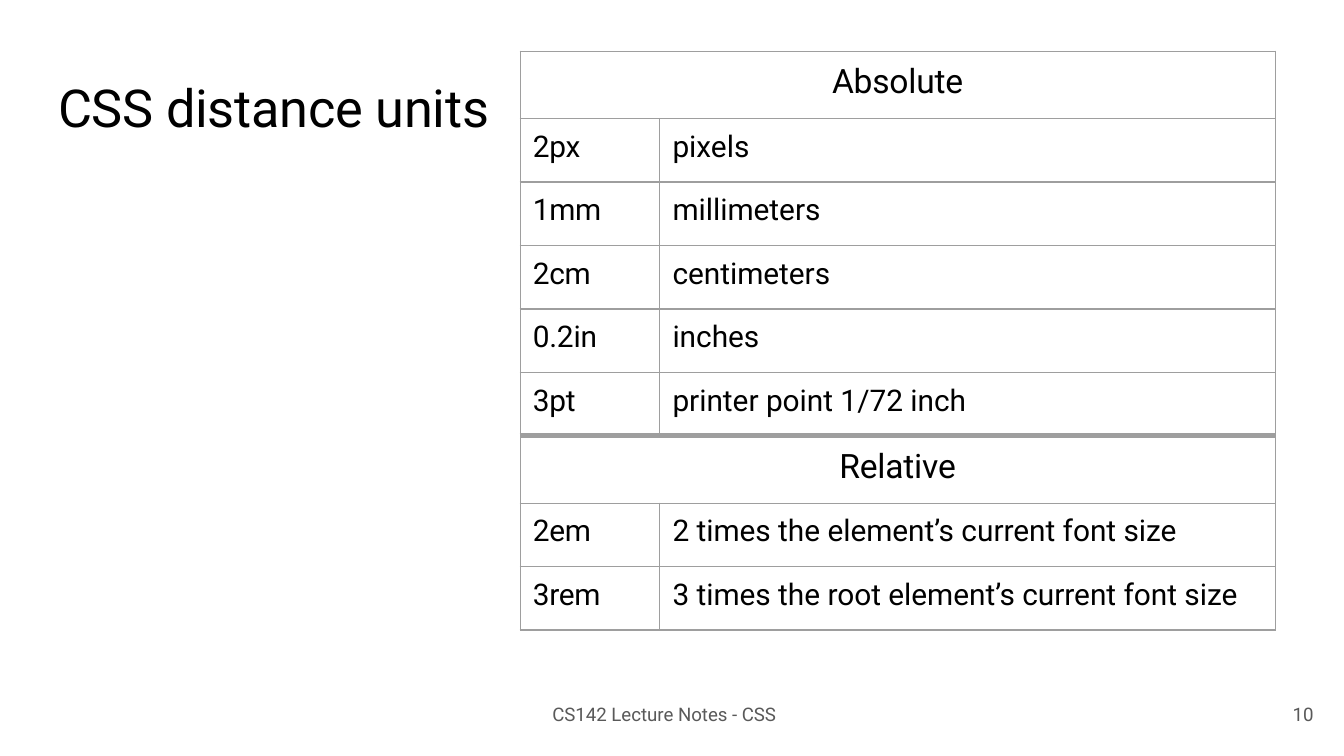
import dataclasses

import lxml.etree
import pptx
import pptx.dml.color
import pptx.enum.text
import pptx.oxml.ns
import pptx.util

Cm = pptx.util.Cm
Pt = pptx.util.Pt
Align = pptx.enum.text.PP_ALIGN


@dataclasses.dataclass(frozen=True)
class Theme:
    """Colours, font and type sizes of the slide."""
    font: str = "Roboto"
    ink: str = "000000"
    muted: str = "595959"
    rule: str = "9E9E9E"
    title_size: float = 28
    heading_size: float = 18
    body_size: float = 16
    footer_size: float = 10
    thin: float = 0.75
    thick: float = 3


@dataclasses.dataclass(frozen=True)
class Section:
    """A heading and its rows of example and meaning."""
    heading: str
    units: tuple[tuple[str, str], ...]


@dataclasses.dataclass(frozen=True)
class Label:
    """A line of text at the foot of the page, in centimetres."""
    text: str
    left: float
    width: float


THEME = Theme()
SECTIONS = (
    Section("Absolute", (
        ("2px", "pixels"),
        ("1mm", "millimeters"),
        ("2cm", "centimeters"),
        ("0.2in", "inches"),
        ("3pt", "printer point 1/72 inch"),
    )),
    Section("Relative", (
        ("2em", "2 times the element’s current font size"),
        ("3rem", "3 times the root element’s current font size"),
    )),
)
FOOTERS = (
    Label("CS142 Lecture Notes - CSS", 10.41, 4.47),
    Label("10", 24.33, 0.61),
)
COLUMN_WIDTHS = (2.64, 11.63)
HEADING_HEIGHT, UNIT_HEIGHT = 1.27, 1.2


def write_text(frame, text: str, *, size: float, color: str = THEME.ink,
               align=Align.LEFT, indent: float = 0, before: float = 0,
               tracking: int = 0) -> None:
    """Write one formatted paragraph; tracking is in hundredths of a point."""
    frame.word_wrap = True
    para = frame.paragraphs[0]
    para.alignment = align
    para.space_before = Pt(before)
    properties = para._p.get_or_add_pPr()
    properties.set("marL", str(Cm(indent)))
    properties.set("indent", "0")
    span = para.add_run()
    span.text = text
    span.font.name = THEME.font
    span.font.size = Pt(size)
    span.font.color.rgb = pptx.dml.color.RGBColor.from_string(color)
    span._r.get_or_add_rPr().set("spc", str(tracking))


def set_margins(holder, top: float = 0) -> None:
    """Clear the margins of a cell or text frame, except the top one."""
    holder.margin_left = holder.margin_right = holder.margin_bottom = 0
    holder.margin_top = Cm(top)


def set_borders(cell, *, top: float, bottom: float) -> None:
    """Draw the four borders of a cell, with widths in points."""
    properties = cell._tc.get_or_add_tcPr()
    qn = pptx.oxml.ns.qn
    widths = {"L": THEME.thin, "R": THEME.thin, "T": top, "B": bottom}
    for side, width in widths.items():
        line = lxml.etree.SubElement(properties, qn(f"a:ln{side}"), w=str(Pt(width)))
        fill = lxml.etree.SubElement(line, qn("a:solidFill"))
        lxml.etree.SubElement(fill, qn("a:srgbClr"), val=THEME.rule)


def add_title(page, text: str) -> None:
    """Place and format the title."""
    box = page.shapes.title
    box.left, box.top, box.width, box.height = Cm(1.07), Cm(1.4), Cm(8.41), Cm(1.24)
    frame = box.text_frame
    set_margins(frame, top=0.03)
    frame.vertical_anchor = pptx.enum.text.MSO_ANCHOR.TOP
    write_text(frame, text, size=THEME.title_size, indent=0.03, before=1, tracking=-10)


def add_unit_table(page) -> None:
    """Add the table of units, with a thick rule between sections."""
    row_count = sum(1 + len(section.units) for section in SECTIONS)
    height = (len(SECTIONS) * HEADING_HEIGHT
              + (row_count - len(SECTIONS)) * UNIT_HEIGHT)
    table = page.shapes.add_table(
        row_count, len(COLUMN_WIDTHS), Cm(9.83), Cm(0.97),
        Cm(sum(COLUMN_WIDTHS)), Cm(height)).table
    table.first_row = table.horz_banding = False
    for column, width in zip(table.columns, COLUMN_WIDTHS):
        column.width = Cm(width)

    index = 0
    for section in SECTIONS:
        last_section = section is SECTIONS[-1]
        for position, texts in enumerate(((section.heading,), *section.units)):
            is_heading = position == 0
            table.rows[index].height = Cm(HEADING_HEIGHT if is_heading else UNIT_HEIGHT)
            splits_above = is_heading and index > 0
            splits_below = position == len(section.units) and not last_section
            for cell in table.rows[index].cells:
                set_margins(cell, top=0.21)
                set_borders(cell,
                            top=THEME.thick if splits_above else THEME.thin,
                            bottom=THEME.thick if splits_below else THEME.thin)
                cell.fill.background()
            if is_heading:
                table.cell(index, 0).merge(table.cell(index, len(COLUMN_WIDTHS) - 1))
            for column, text in enumerate(texts):
                write_text(table.cell(index, column).text_frame, text,
                           size=THEME.heading_size if is_heading else THEME.body_size,
                           align=Align.CENTER if is_heading else Align.LEFT,
                           indent=0 if is_heading else 0.24, before=6,
                           tracking=-10 if is_heading or column == 0 else 0)
            index += 1


def add_footer(page, label: Label) -> None:
    """Add one label at the foot of the page."""
    box = page.shapes.add_textbox(Cm(label.left), Cm(13.28), Cm(label.width), Cm(0.46))
    set_margins(box.text_frame)
    write_text(box.text_frame, label.text, size=THEME.footer_size,
               color=THEME.muted, indent=0.1 if label.text.isdigit() else 0.03)


def main() -> None:
    """Build and save the slide."""
    deck = pptx.Presentation()
    deck.slide_width, deck.slide_height = Cm(25.4), Cm(14.29)
    page = deck.slides.add_slide(deck.slide_layouts.get_by_name("Title Only"))
    add_title(page, "CSS distance units")
    add_unit_table(page)
    for label in FOOTERS:
        add_footer(page, label)
    deck.save("out.pptx")


main()
